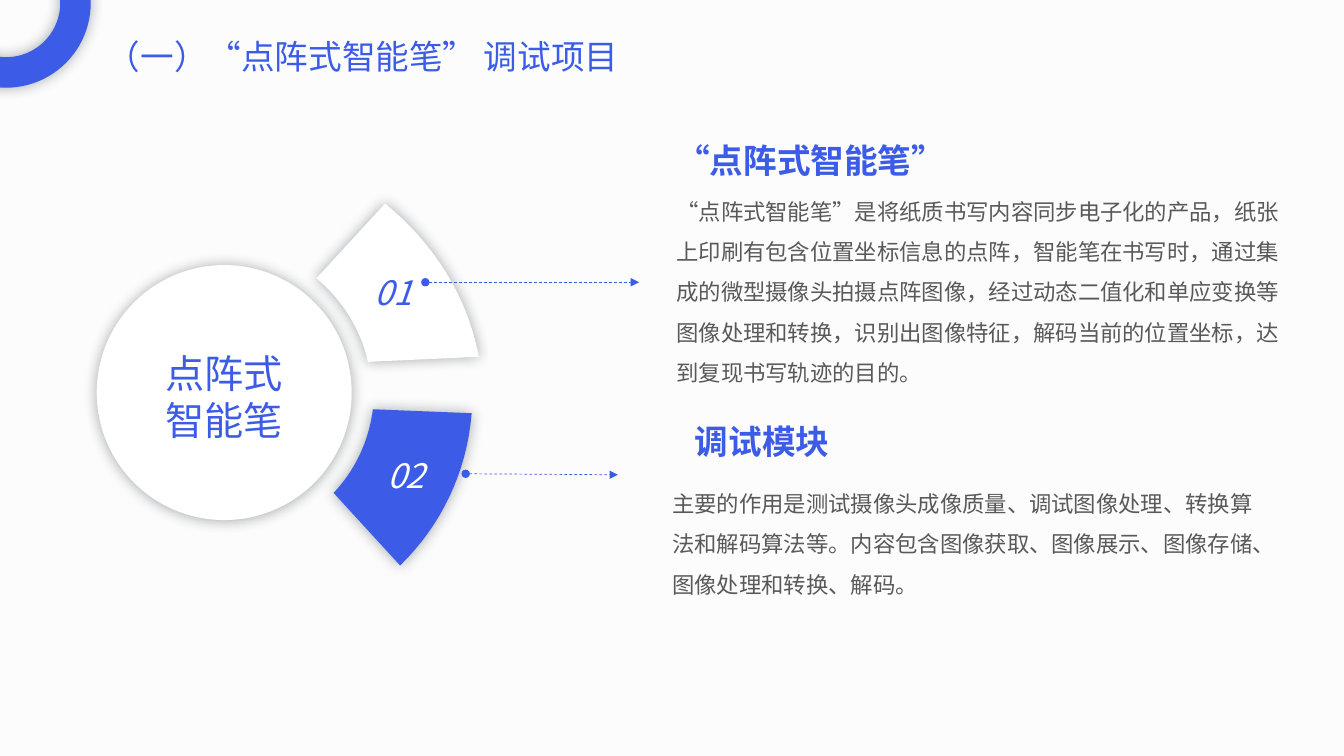
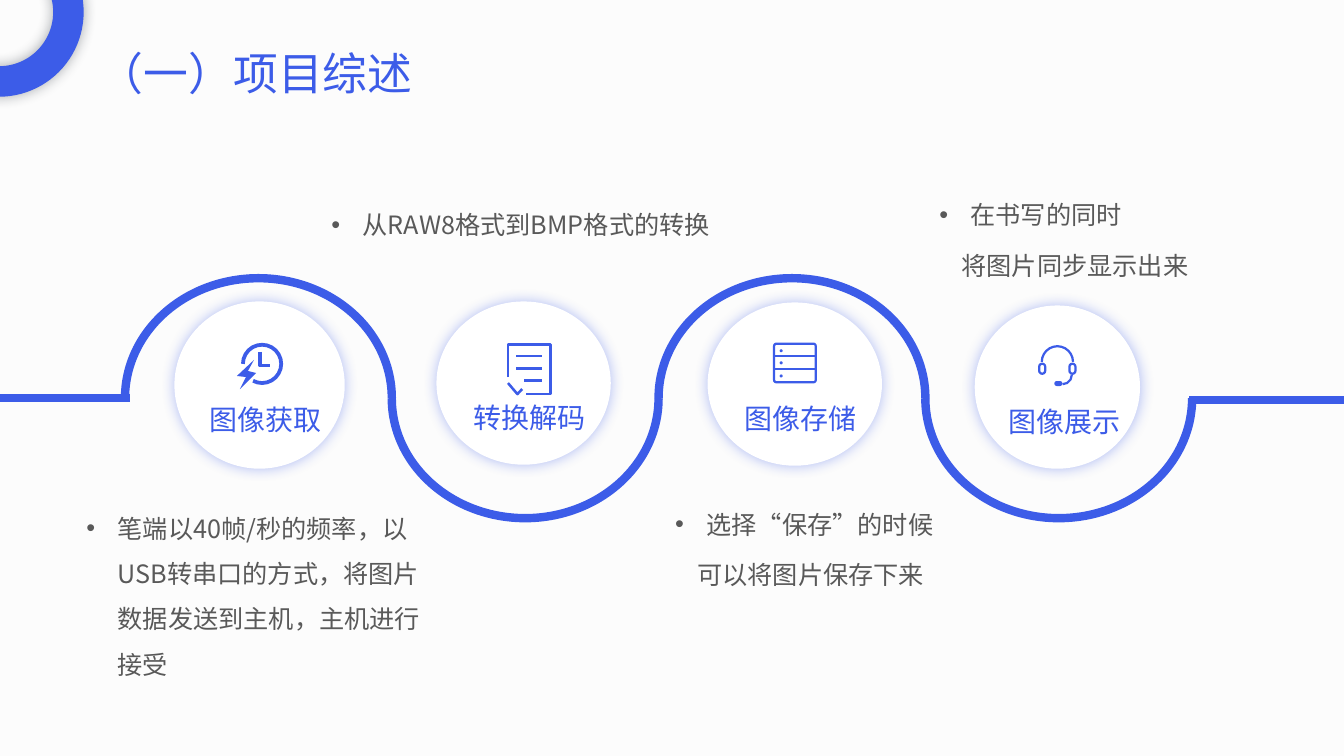
from dataclasses import dataclass

from lxml import etree
from pptx import Presentation
from pptx import util as u
from pptx.dml.color import RGBColor
from pptx.enum import dml, lang, shapes, text
from pptx.oxml.ns import qn


@dataclass(frozen=True)
class Theme:
    font: str = "Noto Sans CJK SC"
    blue: str = "3C5CE8"
    white: str = "FFFFFF"
    grey: str = "595959"
    dark: str = "222A35"
    page: str = "FCFCFC"
    title: int = 32
    long_title: int = 24
    hub: int = 28
    heading: int = 24
    label: int = 20
    note: int = 18
    body: int = 16


T = Theme()
KIND = shapes.MSO_SHAPE
STRAIGHT = shapes.MSO_CONNECTOR.STRAIGHT

prs = Presentation()
prs.slide_width, prs.slide_height = u.Emu(12192000), u.Emu(6858000)
COLS = 160
G = prs.slide_width // COLS  # side of one square grid cell


def style(sp, box=None, fill=None, line=None, width=1, glow=None):
    """Place a shape on the grid; an absent fill, line or glow is switched off."""
    if box:
        sp.left, sp.top, sp.width, sp.height = (round(v * G) for v in box)
    if line:
        sp.line.color.rgb = RGBColor.from_string(line)
        sp.line.width = u.Pt(width)
    else:
        sp.line.fill.background()
    sp_pr = sp._element.spPr
    if not hasattr(sp, "fill"):  # a connector
        etree.SubElement(sp_pr, qn("a:effectLst"))
        return
    if fill:
        sp.fill.solid()
        sp.fill.fore_color.rgb = RGBColor.from_string(fill)
    else:
        sp.fill.background()
    sp.shadow.inherit = False
    if glow:
        shadow = etree.SubElement(sp_pr.find(qn("a:effectLst")), qn("a:outerShdw"),
                                  blurRad=str(u.Pt(10)), dist="0", dir="0",
                                  algn="ctr", rotWithShape="0")
        colour = etree.SubElement(shadow, qn("a:srgbClr"), val=glow)
        etree.SubElement(colour, qn("a:alpha"), val="40000")


PAD = (3.24, 1.56)
INSET = (1.2, 0.6)


def write(sp, box, lines, size, color=T.blue, inset=INSET, leading=1.2, align="LEFT",
          anchor="TOP", bold=False, italic=False, bullet=False):
    """Fill a text shape; with a bullet, later lines are indented below it."""
    sp.left, sp.top, sp.width, sp.height = (round(v * G) for v in box)
    tf = sp.text_frame
    tf.word_wrap, tf.auto_size = True, text.MSO_AUTO_SIZE.NONE
    tf.vertical_anchor = text.MSO_ANCHOR[anchor]
    tf.margin_left = tf.margin_right = round(inset[0] * G)
    tf.margin_top = tf.margin_bottom = round(inset[1] * G)
    tf.text = "\n".join(lines)
    for i, p in enumerate(tf.paragraphs):
        p.alignment = text.PP_ALIGN[align]
        p.line_spacing = u.Pt(size * leading)
        p.space_before = u.Pt(size * 0.2 if i else 0)
        if bullet:
            p_pr = p._p.get_or_add_pPr()
            p_pr.set("marL", str(u.Inches(0.22 if i else 0.31)))
            p_pr.set("indent", str(u.Inches(0 if i else -0.31)))
            if i == 0:
                etree.SubElement(p_pr, qn("a:buFont"), typeface="Arial")
                etree.SubElement(p_pr, qn("a:buChar"), char="•")
        for r in p.runs:
            f = r.font
            f.name, f.size, f.bold, f.italic = T.font, u.Pt(size), bold, italic
            f.color.rgb = RGBColor.from_string(color)
            f.language_id = lang.MSO_LANGUAGE_ID.SIMPLIFIED_CHINESE
            r._r.rPr.find(qn("a:latin")).addnext(
                etree.Element(qn("a:ea"), typeface=T.font))


# Shared page: background, corner ring and title
fill = prs.slide_master.background.fill
fill.solid()
fill.fore_color.rgb = RGBColor.from_string(T.page)

RING = 20.16
slides = []
for title, size, title_box, ring_at in [
    ("（一）“点阵式智能笔” 调试项目", T.long_title, (11.52, 3.72, 76.56, 11.76),
     (-9.36, -9.72)),
    ("（一）项目综述", T.title, (10.56, 4.8, 55.44, 7.68), (-10.2, -8.64)),
]:
    s = prs.slides.add_slide(prs.slide_layouts[5])
    ring = s.shapes.add_shape(KIND.DONUT, 0, 0, 0, 0)
    style(ring, (*ring_at, RING, RING), fill=T.blue, glow=T.dark)
    ring.adjustments[0] = 0.18
    write(s.shapes.title, title_box, [title], size)
    slides.append(s)

# Slide 1: hub with two sectors, each pointing to a heading and a paragraph
s = slides[0]
hub = s.shapes.add_shape(KIND.OVAL, 0, 0, 0, 0)
style(hub, (11.52, 31.56, 30.36, 30.36), fill=T.white, glow=T.dark)
write(s.shapes.add_textbox(0, 0, 0, 0), (14.88, 39.96, 23.52, 14.52), ["点阵式智能笔"],
      T.hub, inset=PAD, align="CENTER", anchor="MIDDLE")

STEPS = 16
sectors = [
    dict(outer=[(45.84, 24.24), (51.6, 28.92), (55.68, 35.28), (57, 42.48)],
         inner=[(43.8, 43.08), (42.96, 39.24), (40.8, 35.76), (37.68, 33.12)],
         fill=T.white, ink=T.blue, number="01", number_box=(41.52, 32.4, 10.68, 4.8),
         arrow=(50.64, 33.6, 76.08, 33.6),
         heading="“点阵式智能笔”", heading_box=(77.28, 15, 57.24, 8),
         body="“点阵式智能笔”是将纸质书写内容同步电子化的产品，纸张上印刷有包含位置坐标信息的点阵，"
              "智能笔在书写时，通过集成的微型摄像头拍摄点阵图像，经过动态二值化和单应变换等图像处理和转换，"
              "识别出图像特征，解码当前的位置坐标，达到复现书写轨迹的目的。",
         body_box=(77.28, 20.4, 79.32, 27)),
    dict(outer=[(56.16, 49.2), (55.56, 56.4), (52.44, 62.64), (47.64, 67.32)],
         inner=[(39.72, 58.68), (42.24, 56.04), (43.92, 52.56), (44.4, 48.72)],
         fill=T.blue, ink=T.white, number="02", number_box=(43.68, 54.12, 9.24, 4.8),
         arrow=(55.44, 56.4, 73.56, 56.52),
         heading="调试模块", heading_box=(79.5, 48.48, 38.7, 8),
         body="主要的作用是测试摄像头成像质量、调试图像处理、转换算法和解码算法等。"
              "内容包含图像获取、图像展示、图像存储、图像处理和转换、解码。",
         body_box=(76.8, 55.2, 76.56, 18)),
]
for sector in sectors:
    points = []
    for curve in (sector["outer"], sector["inner"]):
        for t in (i / STEPS for i in range(STEPS + 1)):
            weights = ((1 - t) ** 3, 3 * t * (1 - t) ** 2, 3 * t * t * (1 - t), t ** 3)
            points.append(tuple(G * sum(w * c for w, c in zip(weights, axis))
                                for axis in zip(*curve)))
    outline = s.shapes.build_freeform(*points[0])
    outline.add_line_segments(points[1:], close=True)
    style(outline.convert_to_shape(), fill=sector["fill"], glow=T.dark)

    arrow = s.shapes.add_connector(STRAIGHT, *(round(v * G) for v in sector["arrow"]))
    style(arrow, line=T.blue, width=0.5)
    arrow.line.dash_style = dml.MSO_LINE.DASH
    ln = arrow._element.spPr.find(qn("a:ln"))
    etree.SubElement(ln, qn("a:headEnd"), type="oval")
    etree.SubElement(ln, qn("a:tailEnd"), type="triangle")

    write(s.shapes.add_textbox(0, 0, 0, 0), sector["number_box"], [sector["number"]],
          T.heading, sector["ink"], inset=(0, 0), align="CENTER", italic=True)
    write(s.shapes.add_textbox(0, 0, 0, 0), sector["heading_box"], [sector["heading"]],
          T.heading, inset=PAD, anchor="MIDDLE", bold=True)
    write(s.shapes.add_textbox(0, 0, 0, 0), sector["body_box"], [sector["body"]],
          T.body, T.grey, inset=PAD, leading=1.8)

# Slide 2: a wave of half ellipses running past four stages
s = slides[1]
WAVE_LEFT, WAVE_TOP, WAVE_STEP, WAVE_HEIGHT = 14.88, 33.12, 31.76, 28.56
HALF_TURN = 108  # 180 degrees in adjustment units
for i in range(4):
    arc = s.shapes.add_shape(KIND.ARC, 0, 0, 0, 0)
    style(arc, (WAVE_LEFT + i * WAVE_STEP, WAVE_TOP, WAVE_STEP, WAVE_HEIGHT),
          line=T.blue, width=6)
    arc.adjustments[0], arc.adjustments[1] = HALF_TURN, 0
    arc.rotation = 180 * (i % 2)
for x1, x2, y in [(0, 15.48, 47.4), (141.6, COLS, 47.64)]:
    rail = s.shapes.add_connector(STRAIGHT, *(round(v * G) for v in (x1, y, x2, y)))
    style(rail, line=T.blue, width=6)

# Icon parts: (preset, box, adjustments, filled); strokes: (points, filled)
stages = [
    dict(label="图像获取", circle=(20.76, 35.88, 20.28, 19.92), label_at=(23.76, 47.28),
         note=["笔端以40帧/秒的频率，以USB转串口的方式，将图片数据发送到主机，主机进行接受"],
         note_box=(9.12, 58.68, 44.88, 22.44), pen=2.7,
         parts=[(KIND.ARC, (28.92, 41.04, 4.56, 4.56), (HALF_TURN, 70.8), False)],
         strokes=[([(30.96, 41.9), (30.96, 43.5), (32.2, 43.5)], False),
                  ([(30.24, 42.84), (28.2, 44.76), (29.28, 44.88), (28.56, 46.32),
                    (30.48, 44.4), (29.52, 44.16)], True)]),
    dict(label="转换解码", circle=(51.96, 35.88, 20.76, 19.44), label_at=(55.2, 47.04),
         note=["从RAW8格式到BMP格式的转换"],
         note_box=(38.28, 22.56, 52.92, 6), pen=1.8, parts=[],
         strokes=[([(60.48, 44.9), (60.48, 41.04), (65.52, 41.04), (65.52, 46.92),
                    (62.64, 46.92)], False),
                  ([(61.44, 42.4), (64.56, 42.4)], False),
                  ([(61.44, 43.86), (64.56, 43.86)], False),
                  ([(62.4, 45.3), (64.56, 45.3)], False),
                  ([(60.48, 45.6), (61.6, 46.92), (62.16, 46.32)], False)]),
    dict(label="图像存储", circle=(84.24, 36, 20.76, 19.44), label_at=(87.48, 47.16),
         note=["选择“保存”的时候", "可以将图片保存下来"],
         note_box=(79.2, 58.2, 52.92, 12.24), pen=1.6,
         parts=[(KIND.ROUNDED_RECTANGLE, (92.16, 40.92, 4.96, 4.6), (0.06,), False)]
         + [(KIND.OVAL, (92.82, y, 0.36, 0.36), (), True) for y in (41.58, 43.02, 44.58)],
         strokes=[([(92.16, y), (97.12, y)], False) for y in (42.4, 43.9)]),
    dict(label="图像展示", circle=(116.04, 36.36, 19.68, 19.44), label_at=(118.92, 47.52),
         note=["在书写的同时", "将图片同步显示出来"],
         note_box=(110.64, 21.36, 49, 12.24), pen=1.6,
         parts=[(KIND.ARC, (124.02, 41.22, 3.72, 3.72), (HALF_TURN, 0), False),
                (KIND.ARC, (125.4, 43.54, 2.2, 2.2), (0, HALF_TURN / 2), False),
                (KIND.ROUNDED_RECTANGLE, (125.52, 45.36, 0.96, 0.6), (0.5,), True)]
         + [(KIND.ROUNDED_RECTANGLE, (x, 43.3, 0.72, 1.2), (0.5,), False)
            for x in (123.72, 127.32)],
         strokes=[]),
]
for stage in stages:
    circle = s.shapes.add_shape(KIND.OVAL, 0, 0, 0, 0)
    style(circle, stage["circle"], fill=T.white, glow=T.blue)
    for kind, box, adjustments, filled in stage["parts"]:
        part = s.shapes.add_shape(kind, 0, 0, 0, 0)
        style(part, box, fill=T.blue if filled else None,
              line=None if filled else T.blue, width=stage["pen"])
        for i, value in enumerate(adjustments):
            part.adjustments[i] = value
    for stroke, filled in stage["strokes"]:
        points = [(x * G, y * G) for x, y in stroke]
        outline = s.shapes.build_freeform(*points[0])
        outline.add_line_segments(points[1:], close=filled)
        style(outline.convert_to_shape(), fill=T.blue if filled else None,
              line=None if filled else T.blue, width=stage["pen"])
    write(s.shapes.add_textbox(0, 0, 0, 0), (*stage["label_at"], 17, 5.28),
          [stage["label"]], T.label)
    write(s.shapes.add_textbox(0, 0, 0, 0), stage["note_box"], stage["note"],
          T.note, T.grey, leading=1.8, bullet=True)

prs.save("out.pptx")
